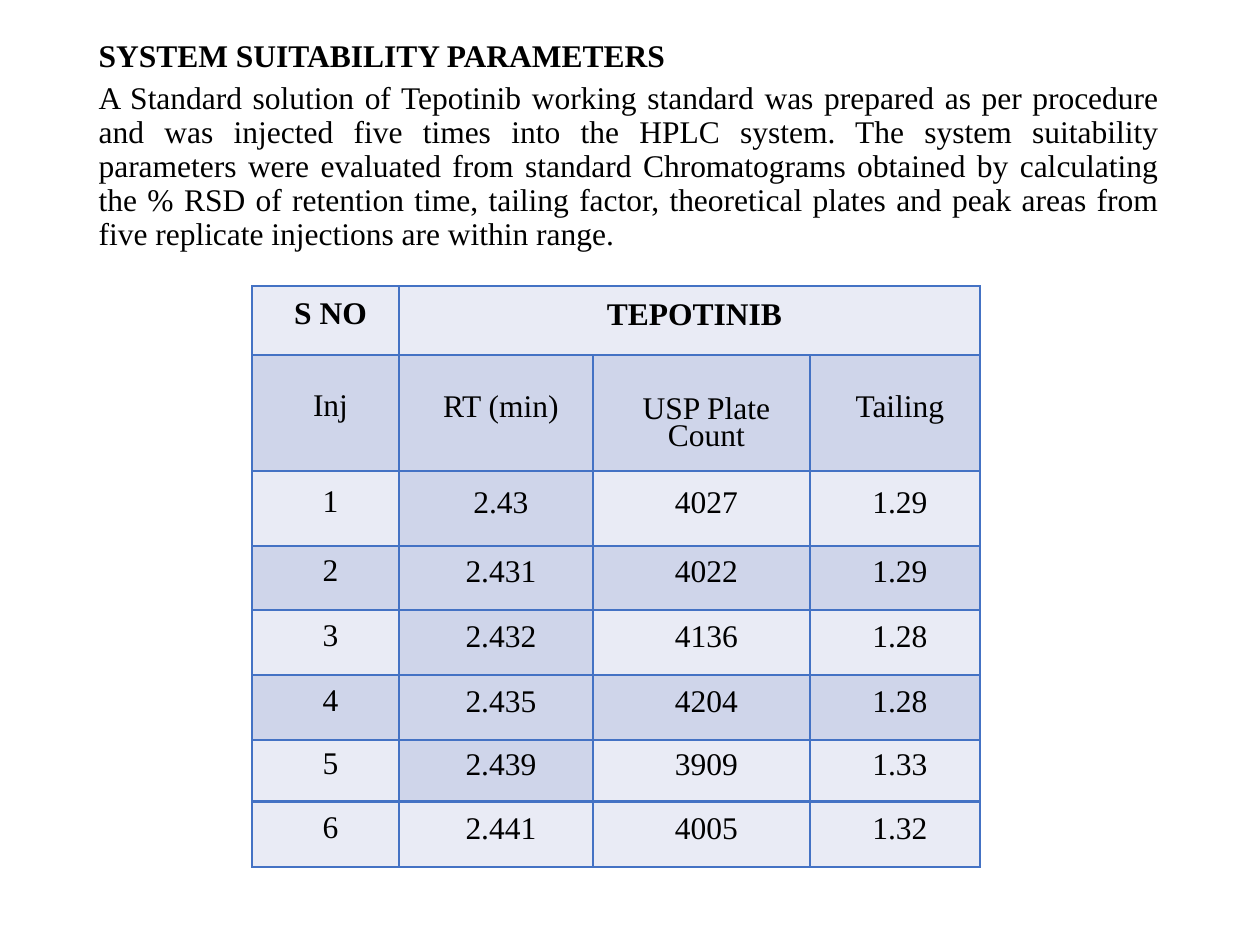
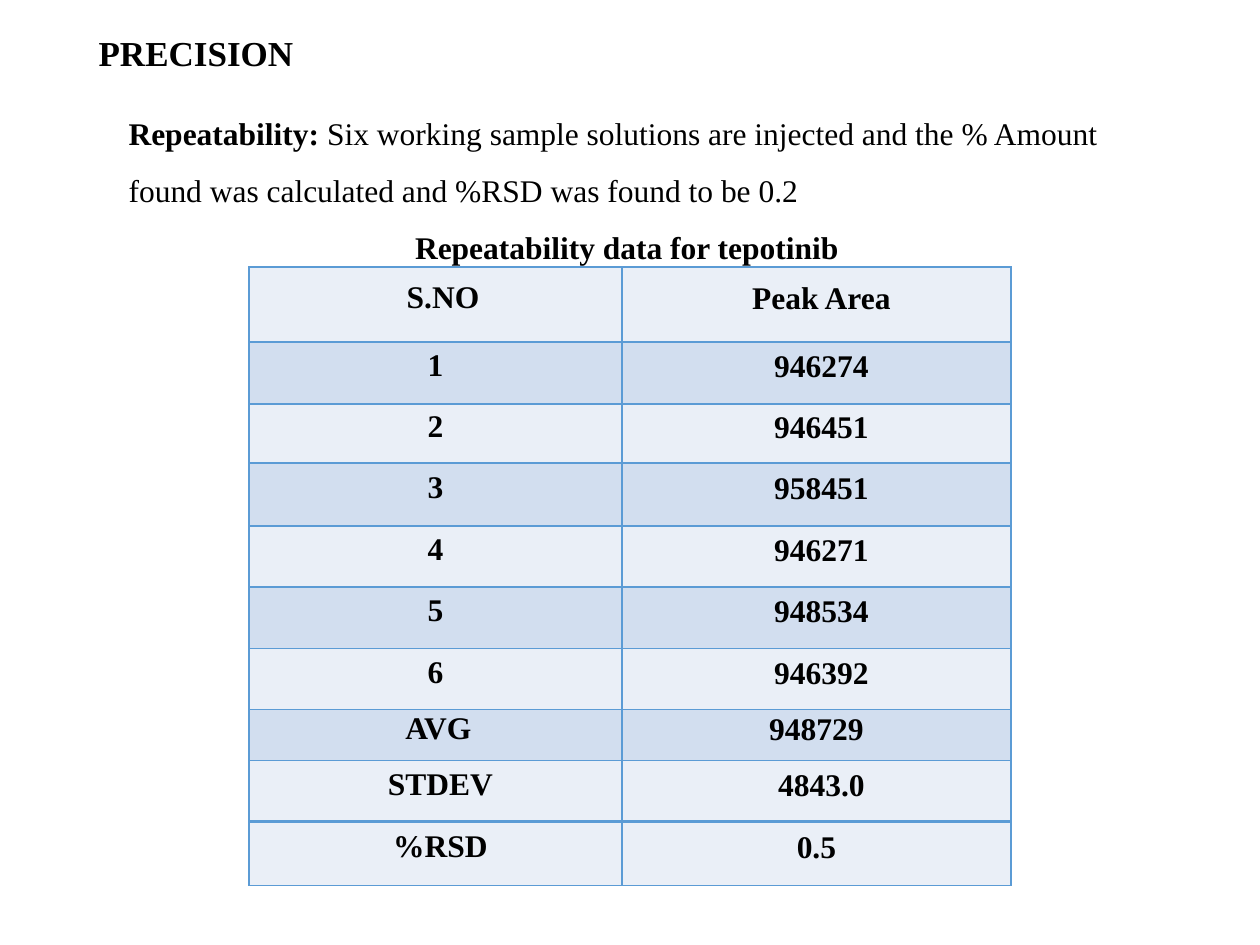
from lxml import etree
from pptx import Presentation
from pptx import util as u
from pptx.dml.color import RGBColor
from pptx.enum import text
from pptx.oxml.ns import qn

EMU_PER_PX = 7257
BLACK = RGBColor(0x00, 0x00, 0x00)
INDIGO = RGBColor(0x44, 0x72, 0xC4)
INDIGO_LIGHT = RGBColor(0xE9, 0xEB, 0xF5)
INDIGO_DARK = RGBColor(0xCF, 0xD5, 0xEA)
BLUE = RGBColor(0x5B, 0x9B, 0xD5)
BLUE_LIGHT = RGBColor(0xEA, 0xEF, 0xF7)
BLUE_DARK = RGBColor(0xD2, 0xDE, 0xEF)
LEFT, CENTER, JUSTIFY = text.PP_ALIGN.LEFT, text.PP_ALIGN.CENTER, text.PP_ALIGN.JUSTIFY


def write(frame, paragraphs, size, line_spacing):
    frame.word_wrap = True
    for index, (alignment, runs) in enumerate(paragraphs):
        paragraph = frame.paragraphs[0] if index == 0 else frame.add_paragraph()
        properties = paragraph._p.get_or_add_pPr()
        properties.set("marL", "0")
        properties.set("indent", "0")
        etree.SubElement(properties, qn("a:buNone"))
        spacing = {"alignment": alignment, "line_spacing": line_spacing,
                   "space_before": u.Pt(0), "space_after": u.Pt(0)}
        for name, value in spacing.items():
            setattr(paragraph, name, value)
        for words, bold in runs:
            run = paragraph.add_run()
            run.text = words
            font = {"name": "Times New Roman", "size": u.Pt(size), "bold": bold}
            for name, value in font.items():
                setattr(run.font, name, value)
            run.font.color.rgb = BLACK


def draw_borders(cell, color, top, bottom):
    properties = cell._tc.get_or_add_tcPr()
    widths = {"lnL": 1, "lnR": 1, "lnT": top, "lnB": bottom}
    for index, (edge, width) in enumerate(widths.items()):
        line = etree.Element(qn("a:" + edge), w=str(u.Pt(width)))
        fill = etree.SubElement(line, qn("a:solidFill"))
        etree.SubElement(fill, qn("a:srgbClr"), val=str(color))
        properties.insert(index, line)


slides = [
    {
        "title": "SYSTEM SUITABILITY PARAMETERS",
        "title_size": 18,
        "title_box": (86, 34, 1086, 42),
        "body_box": (86, 76, 1086, 190),
        "body_spacing": 0.9,
        "body": [
            (JUSTIFY, [("A Standard solution of Tepotinib working standard was prepared as per "
                        "procedure and was injected five times into the HPLC system. The system "
                        "suitability parameters were evaluated from standard Chromatograms obtained "
                        "by calculating the % RSD of retention time, tailing factor, theoretical "
                        "plates and peak areas from five replicate injections are within range.",
                        False)]),
        ],
        "table_at": (252, 286),
        "columns": [147, 194, 217, 170],
        "heights": [69, 116, 75, 64, 65, 65, 62, 65],
        "rows": [
            ["S NO", "TEPOTINIB", "", ""],
            ["Inj", "RT (min)", "USP Plate\nCount", "Tailing"],
            ["1", "2.43", "4027", "1.29"],
            ["2", "2.431", "4022", "1.29"],
            ["3", "2.432", "4136", "1.28"],
            ["4", "2.435", "4204", "1.28"],
            ["5", "2.439", "3909", "1.33"],
            ["6", "2.441", "4005", "1.32"],
        ],
        "colors": (INDIGO, INDIGO_LIGHT, INDIGO_DARK),
        "bold_rows": 1,
        "dark_column": 1,
        "merge": ((0, 1), (0, 3)),
        "left_margins": {},
    },
    {
        "title": "PRECISION",
        "title_size": 20,
        "title_box": (86, 30, 1086, 48),
        "body_box": (116, 89, 1022, 170),
        "body_spacing": 1.5,
        "body": [
            (LEFT, [("Repeatability: ", True),
                    ("Six working sample solutions are injected and the % Amount found was "
                     "calculated and %RSD was found to be 0.2", False)]),
            (CENTER, [("Repeatability data for tepotinib", True)]),
        ],
        "table_at": (249, 267),
        "columns": [373, 389],
        "heights": [75, 62, 59, 63, 61, 62, 61, 51, 61, 64],
        "rows": [
            ["S.NO", "Peak Area"],
            ["1", "946274"],
            ["2", "946451"],
            ["3", "958451"],
            ["4", "946271"],
            ["5", "948534"],
            ["6", "946392"],
            ["AVG", "948729"],
            ["STDEV", "4843.0"],
            ["%RSD", "0.5"],
        ],
        "colors": (BLUE, BLUE_LIGHT, BLUE_DARK),
        "bold_rows": 10,
        "dark_column": None,
        "merge": None,
        "left_margins": {"S.NO": 15, "AVG": 6, "948729": 0, "0.5": 0,
                         **{str(number): 0 for number in range(1, 7)}},
    },
]

presentation = Presentation()
presentation.slide_width = u.Inches(10)
presentation.slide_height = u.Inches(7.5)

for content in slides:
    slide = presentation.slides.add_slide(presentation.slide_layouts[1])
    title, body = slide.placeholders
    for shape, box in ((title, content["title_box"]), (body, content["body_box"])):
        for name, value in zip(("left", "top", "width", "height"), box):
            setattr(shape, name, value * EMU_PER_PX)
        shape.text_frame.auto_size = text.MSO_AUTO_SIZE.NONE
        shape.text_frame.vertical_anchor = text.MSO_ANCHOR.TOP
    write(title.text_frame, [(LEFT, [(content["title"], True)])], content["title_size"], 0.9)
    write(body.text_frame, content["body"], 18, content["body_spacing"])

    rows, columns, heights = content["rows"], content["columns"], content["heights"]
    box = [value * EMU_PER_PX for value in (*content["table_at"], sum(columns), sum(heights))]
    table = slide.shapes.add_table(len(rows), len(columns), *box).table
    table.first_row = False
    table.horz_banding = False
    for column, width in zip(table.columns, columns):
        column.width = width * EMU_PER_PX
    for row, height in zip(table.rows, heights):
        row.height = height * EMU_PER_PX
    if content["merge"]:
        first, last = content["merge"]
        table.cell(*first).merge(table.cell(*last))

    border, light, dark = content["colors"]
    last_row = len(rows) - 1
    for row_index, values in enumerate(rows):
        for column_index, value in enumerate(values):
            cell = table.cell(row_index, column_index)
            lines = value.split("\n")
            margin = content["left_margins"].get(value, 10)
            layout = {"margin_left": margin * EMU_PER_PX, "margin_right": 0,
                      "margin_top": 24 * EMU_PER_PX if len(lines) > 1 else 0,
                      "margin_bottom": 0, "vertical_anchor": text.MSO_ANCHOR.MIDDLE}
            for name, setting in layout.items():
                setattr(cell, name, setting)
            banded = row_index % 2 == 1 or (column_index == content["dark_column"] and row_index > 0)
            cell.fill.solid()
            cell.fill.fore_color.rgb = dark if banded and row_index < last_row else light
            draw_borders(cell, border, 2 if row_index == last_row else 1,
                         2 if row_index == last_row - 1 else 1)
            if value:
                bold = row_index < content["bold_rows"]
                spacing = 0.77 if len(lines) > 1 else u.Pt(13.4 if column_index else 12.2)
                write(cell.text_frame, [(CENTER, [(line, bold)]) for line in lines], 18, spacing)

presentation.save("out.pptx")
